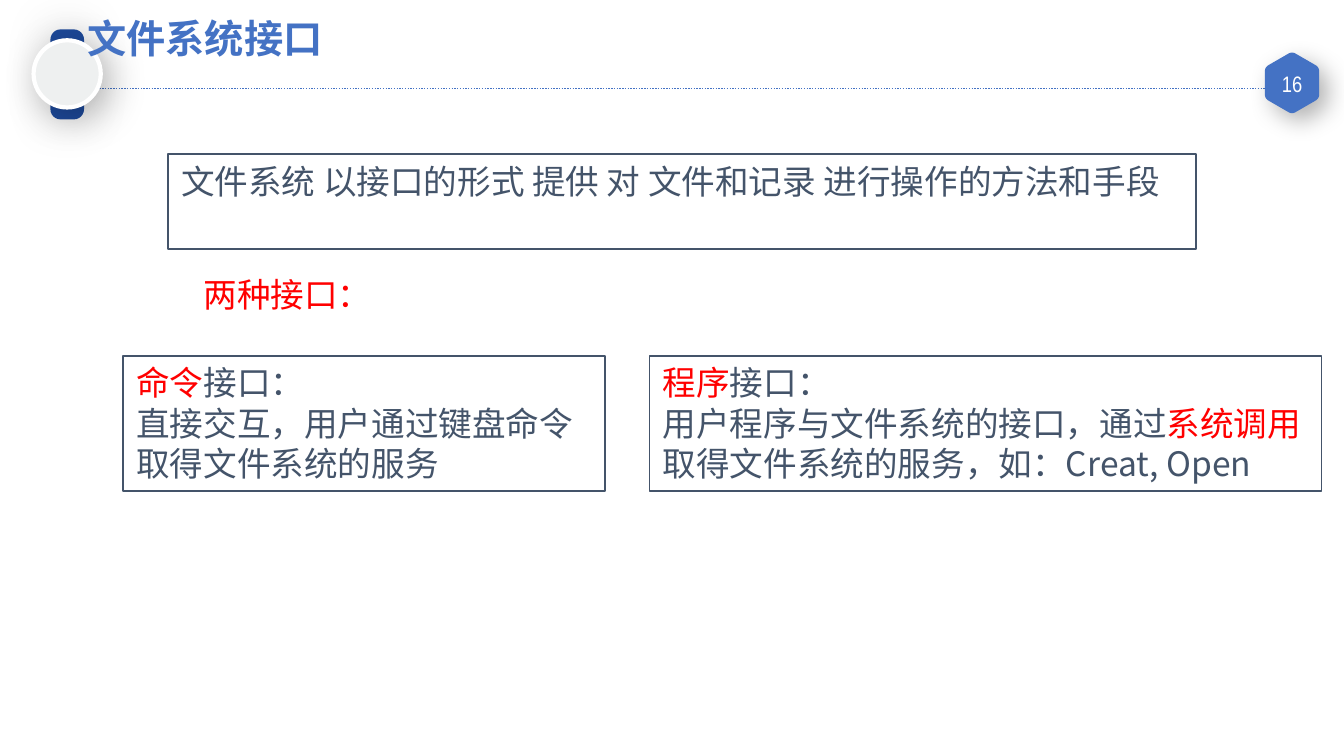
import math
from lxml import etree
from pptx import Presentation
from pptx.dml.color import RGBColor
from pptx.enum import dml, shapes, text
from pptx.oxml import ns
from pptx.util import Pt

COLORS = {
    "accent": "4472C4",
    "navy": "1D4999",
    "pale": "EEF0F0",
    "white": "FFFFFF",
    "slate": "44546A",
    "red": "FF0000",
    "black": "000000",
}
CJK = "Noto Sans CJK SC"


def color(key):
    return RGBColor.from_string(COLORS[key])


def add_shadow(shape, alpha, blur, distance, angle):
    effects = etree.SubElement(shape._element.spPr, ns.qn("a:effectLst"))
    shadow = etree.SubElement(
        effects, ns.qn("a:outerShdw"), blurRad=str(Pt(blur)), dist=str(Pt(distance)),
        dir=str(angle * 60000), algn="ctr", rotWithShape="0")
    tint = etree.SubElement(shadow, ns.qn("a:srgbClr"), val=COLORS["black"])
    etree.SubElement(tint, ns.qn("a:alpha"), val=str(alpha * 1000))


def paint(shape, fill=None, line=None, weight=1):
    if fill:
        shape.fill.solid()
        shape.fill.fore_color.rgb = color(fill)
    else:
        shape.fill.background()
    if line:
        shape.line.color.rgb = color(line)
        shape.line.width = Pt(weight)
    else:
        shape.line.fill.background()


def write(shape, paragraphs, size=18, font=CJK, bold=False,
          align=text.PP_ALIGN.LEFT, anchor=text.MSO_ANCHOR.TOP):
    frame = shape.text_frame
    frame.word_wrap = True
    frame.vertical_anchor = anchor
    for index, parts in enumerate(paragraphs):
        paragraph = frame.add_paragraph() if index else frame.paragraphs[0]
        paragraph.alignment = align
        for words, key in parts:
            run = paragraph.add_run()
            run.text = words
            run.font.size = Pt(size)
            run.font.bold = bold
            run.font.color.rgb = color(key)
            run.font.name = font
            etree.SubElement(run.font._element, ns.qn("a:ea"), typeface=font)


def add_preset(slide, kind, left, top, width, height, **style):
    shape = slide.shapes.add_shape(kind, Pt(left), Pt(top), Pt(width), Pt(height))
    shape.shadow.inherit = False
    paint(shape, **style)
    return shape


def add_box(slide, left, top, width, height, paragraphs):
    box = add_preset(slide, shapes.MSO_SHAPE.RECTANGLE, left, top, width, height, line="slate")
    write(box, paragraphs)


def add_label(slide, left, top, width, height, paragraphs, **style):
    label = slide.shapes.add_textbox(Pt(left), Pt(top), Pt(width), Pt(height))
    write(label, paragraphs, **style)


def add_rule(slide, left, right, y):
    rule = slide.shapes.add_connector(
        shapes.MSO_CONNECTOR.STRAIGHT, Pt(left), Pt(y), Pt(right), Pt(y))
    rule.line.color.rgb = color("accent")
    rule.line.width = Pt(0.75)
    rule.line.dash_style = dml.MSO_LINE.ROUND_DOT
    etree.SubElement(rule._element.spPr, ns.qn("a:effectLst"))


def rounded_hexagon(center_x, center_y, radius, rounding=0.12, steps=6):
    corners = [(center_x + radius * math.sin(math.radians(60 * i)),
                center_y - radius * math.cos(math.radians(60 * i))) for i in range(6)]
    points = []
    for i, corner in enumerate(corners):
        start, end = [[c + (n - c) * rounding for c, n in zip(corner, neighbour)]
                      for neighbour in (corners[i - 1], corners[(i + 1) % 6])]
        for step in range(steps + 1):
            t = step / steps
            points.append(tuple(
                (1 - t) ** 2 * a + 2 * t * (1 - t) * c + t ** 2 * b
                for a, c, b in zip(start, corner, end)))
    return points


def add_page_badge(slide, number):
    outline = [(Pt(x), Pt(y)) for x, y in rounded_hexagon(692.2, 44.4, 16.2)]
    builder = slide.shapes.build_freeform(*outline[0], scale=1.0)
    builder.add_line_segments(outline[1:], close=True)
    badge = builder.convert_to_shape()
    paint(badge, fill="accent", line="accent")
    add_shadow(badge, 30, 13, 6, 45)
    add_label(slide, 678.2, 36, 28, 18, [[(number, "white")]], size=12, font="Arial Narrow",
              align=text.PP_ALIGN.CENTER, anchor=text.MSO_ANCHOR.MIDDLE)


def add_emblem(slide):
    strap = add_preset(slide, shapes.MSO_SHAPE.ROUNDED_RECTANGLE, 27, 15.8, 18, 48.2, fill="navy")
    strap.adjustments[0] = 0.3
    dial = add_preset(slide, shapes.MSO_SHAPE.OVAL, 18, 21.6, 36, 36,
                      fill="pale", line="white", weight=2.25)
    for part, shadow in ((strap, (17, 27, 0, 0)), (dial, (28, 22, 6, 45))):
        part._element.spPr.remove(part._element.spPr.find(ns.qn("a:effectLst")))
        add_shadow(part, *shadow)


def add_title(slide, words):
    title = slide.shapes.title
    title.left, title.top, title.width, title.height = Pt(39.6), Pt(4.3), Pt(414.7), Pt(32.4)
    write(title, [[(words, "accent")]], size=21, bold=True)
    tree = title._element.getparent()
    tree.remove(title._element)
    tree.append(title._element)


def main():
    deck = Presentation()
    deck.slide_width, deck.slide_height = Pt(720), Pt(405)
    slide = deck.slides.add_slide(deck.slide_layouts[5])
    add_rule(slide, 23.8, 679, 47.4)
    add_page_badge(slide, "16")
    add_emblem(slide)
    add_title(slide, "文件系统接口")
    add_box(slide, 90, 82.6, 551, 51, [
        [("文件系统 以接口的形式 提供 对 文件和记录 进行操作的方法和手段", "slate")]])
    add_label(slide, 102, 143.3, 114, 29, [[("两种接口：", "red")]])
    add_box(slide, 66, 190.6, 258, 72.6, [
        [("命令", "red"), ("接口：", "slate")],
        [("直接交互，用户通过键盘命令取得文件系统的服务", "slate")]])
    add_box(slide, 348, 190.6, 360, 72.6, [
        [("程序", "red"), ("接口：", "slate")],
        [("用户程序与文件系统的接口，通过", "slate"), ("系统调用", "red"),
         ("取得文件系统的服务，如：Creat, Open", "slate")]])
    deck.save("out.pptx")


if __name__ == "__main__":
    main()
